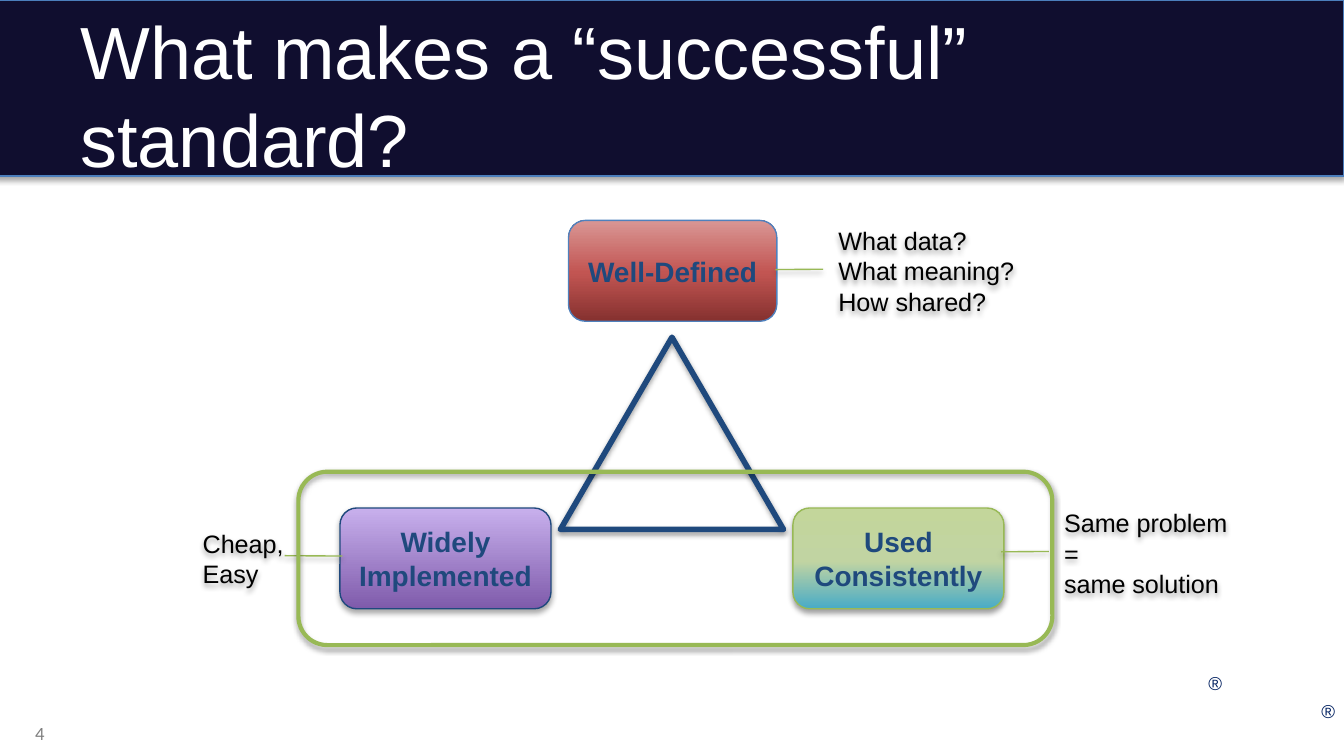
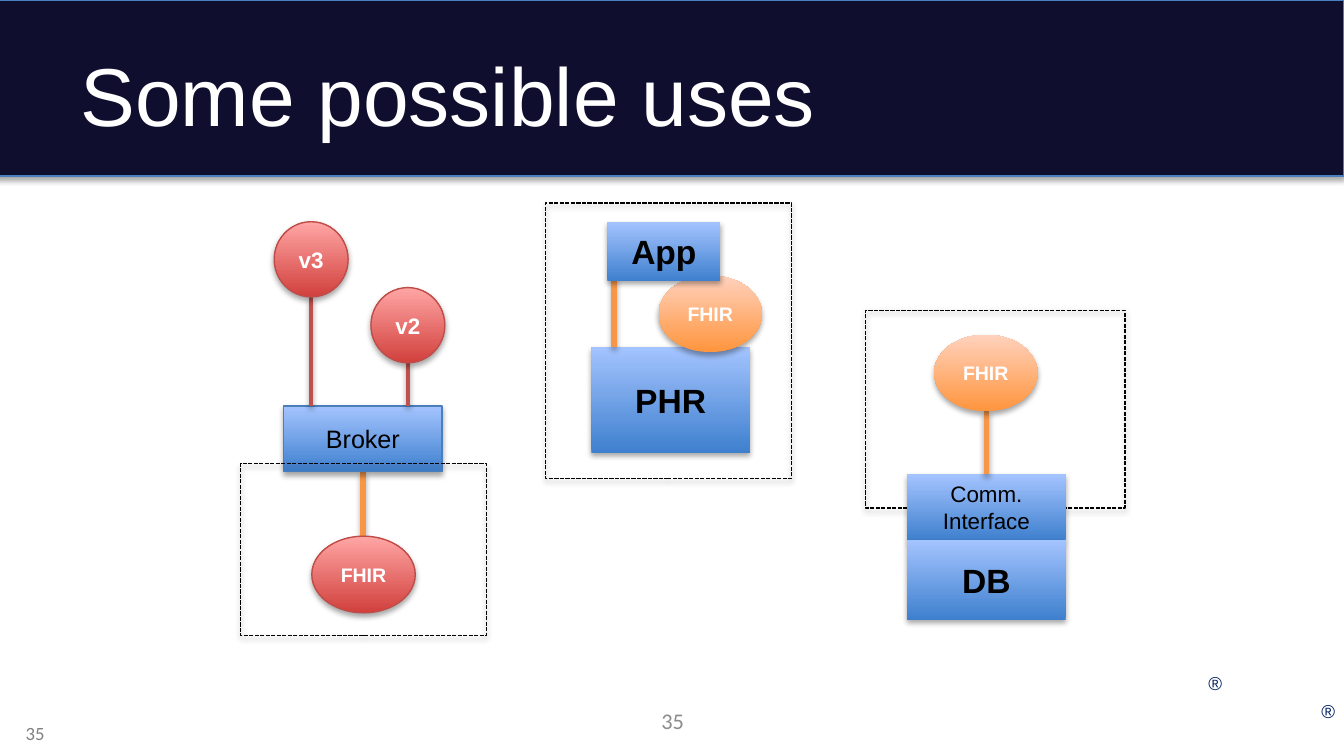
from dataclasses import dataclass
from typing import Optional

from lxml import etree
from pptx import Presentation
from pptx.dml.color import RGBColor
from pptx.enum.dml import MSO_LINE
from pptx.enum.shapes import MSO_CONNECTOR, MSO_SHAPE
from pptx.enum.text import MSO_ANCHOR, MSO_AUTO_SIZE, PP_ALIGN
from pptx.oxml.ns import qn
from pptx.util import Inches, Pt

RECTANGLE = MSO_SHAPE.RECTANGLE
ROUNDED = MSO_SHAPE.ROUNDED_RECTANGLE
ELLIPSE = MSO_SHAPE.OVAL
TRIANGLE = MSO_SHAPE.ISOSCELES_TRIANGLE
CALLOUT = MSO_SHAPE.LINE_CALLOUT_1_NO_BORDER
STRAIGHT = MSO_CONNECTOR.STRAIGHT
DASHED = MSO_LINE.SQUARE_DOT
LEFT, CENTER, RIGHT = PP_ALIGN.LEFT, PP_ALIGN.CENTER, PP_ALIGN.RIGHT
TOP, MIDDLE = MSO_ANCHOR.TOP, MSO_ANCHOR.MIDDLE
FIT_SHAPE = MSO_AUTO_SIZE.SHAPE_TO_FIT_TEXT

SLIDE_WIDTH = 10
SLIDE_HEIGHT = SLIDE_WIDTH * 9 / 16

COLORS = {
    "band": "100E2F",
    "band_line": "4B7EBC",
    "white": "FFFFFF",
    "black": "000000",
    "mark": "002060",
    "number": "808080",
    "center_number": "8C8C8C",
    "navy": "1F497D",
    "blue": "4F81BD",
    "green": "98B955",
    "orange": "F79646",
    "red": "C0504D",
    "red_line": "BF4C48",
}
GRADIENTS = {
    "brick": ((0, "85312F"), (48, "C25552"), (100, "D99694")),
    "purple": ((0, "7F5BAB"), (100, "C8B0ED")),
    "meadow": ((1, "4BACC6"), (47, "C1D4A2"), (100, "C3D69B")),
    "red": ((0, "D1403C"), (100, "FFA6A5")),
    "blue": ((0, "3F80CE"), (100, "A4C4FF")),
    "orange": ((0, "FF953E"), (100, "FFD2BD")),
}


@dataclass(frozen=True)
class Shadow:
    opacity: int
    distance: float
    blur: float = 3.1


SOFT = Shadow(35, 1.8)
STRONG = Shadow(38, 1.6)


@dataclass(frozen=True)
class TextStyle:
    size: float
    color: str = "black"
    bold: bool = False
    font: str = "Arial"
    align: PP_ALIGN = CENTER
    anchor: MSO_ANCHOR = MIDDLE
    inset: tuple[float, float] = (0.1, 0.05)
    wrap: bool = True


@dataclass(frozen=True)
class ShapeStyle:
    gradient: Optional[str] = None
    solid: Optional[str] = None
    line: Optional[str] = None
    width: float = 0.75
    dashed: bool = False
    shadow: Optional[Shadow] = SOFT
    text: Optional[TextStyle] = None


@dataclass(frozen=True)
class Node:
    kind: MSO_SHAPE
    box: tuple[float, float, float, float]
    style: ShapeStyle
    text: str = ""
    adjustments: tuple[float, ...] = ()


@dataclass(frozen=True)
class Link:
    start: tuple[float, float]
    end: tuple[float, float]
    color: str = "orange"
    width: float = 3
    shadow: Shadow = SOFT


def tight(size: float, color: str = "black", bold: bool = True) -> TextStyle:
    return TextStyle(size, color, bold, inset=(0.07, 0.04))


MARK_TEXT = TextStyle(10, "mark", align=LEFT, anchor=TOP, wrap=False)
NUMBER_TEXT = TextStyle(10, "number", font="Calibri", align=RIGHT, anchor=TOP)
CENTER_NUMBER_TEXT = TextStyle(12, "center_number", font="Calibri")
QUALITY_TEXT = TextStyle(15, "navy", True)

BAND = ShapeStyle(solid="band", line="band_line")
WELL_DEFINED = ShapeStyle("brick", line="blue", shadow=None, text=QUALITY_TEXT)
IMPLEMENTED = ShapeStyle("purple", line="navy", text=QUALITY_TEXT)
CONSISTENT = ShapeStyle("meadow", line="green", shadow=STRONG, text=QUALITY_TEXT)
TRIANGLE_OUTLINE = ShapeStyle(line="navy", width=3, shadow=STRONG)
GROUP_OUTLINE = ShapeStyle(line="green", width=2.25, shadow=STRONG)
REMARK = ShapeStyle(line="green", shadow=STRONG, text=TextStyle(13.5, align=LEFT))

SCOPE = ShapeStyle(line="black", dashed=True, shadow=STRONG)
BROKER = ShapeStyle("blue", line="band_line", text=tight(13.5, bold=False))
SYSTEM = ShapeStyle("blue", text=tight(18))
INTERFACE = ShapeStyle("blue", text=tight(12, bold=False))
VERSION = ShapeStyle("red", line="red_line", text=tight(12, "white"))
RED_FHIR = ShapeStyle("red", line="red_line", text=tight(10.5, "white"))
ORANGE_FHIR = ShapeStyle("orange", text=tight(10.5, "white"))

QUALITY_SIZE = (1.57, 0.75)
RIGHT_POINTER = (0.484, -0.01, 0.488, -0.236)
LEFT_POINTER = (0.473, 0.874, 0.477, 1.405)
BLOCK_WIDTH = 1.18
FHIR_SIZE = (0.77, 0.57)
PIN_SIZE = (0.55, 0.56)
BROKER_TOP = 3.02

STANDARD_TRIANGLE = [
    Node(ROUNDED, (4.23, 1.64, 1.55, 0.75), WELL_DEFINED, "Well-Defined"),
    Node(ROUNDED, (2.53, 3.78, *QUALITY_SIZE), IMPLEMENTED, "Widely Implemented"),
    Node(ROUNDED, (5.9, 3.78, *QUALITY_SIZE), CONSISTENT, "Used Consistently"),
    Node(TRIANGLE, (4.17, 2.51, 1.66, 1.43), TRIANGLE_OUTLINE),
    Node(CALLOUT, (6.14, 1.64, *QUALITY_SIZE), REMARK,
         "What data?\nWhat meaning?\nHow shared?", RIGHT_POINTER),
    Node(CALLOUT, (1.41, 3.78, 0.81, 0.75), REMARK, "Cheap,\nEasy", LEFT_POINTER),
    Node(CALLOUT, (7.82, 3.74, *QUALITY_SIZE), REMARK,
         "Same problem =\vsame solution", RIGHT_POINTER),
    Node(ROUNDED, (2.22, 3.51, 5.61, 1.29), GROUP_OUTLINE),
]


def version_pin(label: str, left: float, top: float) -> list[Link | Node]:
    """A version circle joined to the top of the broker."""
    width, height = PIN_SIZE
    center = left + width / 2
    return [
        Link((center, BROKER_TOP), (center, top + height), "red", 2, STRONG),
        Node(ELLIPSE, (left, top, width, height), VERSION, label),
    ]


POSSIBLE_USES = [
    Link((2.7, 3.99), (2.7, 3.51)),
    Node(ELLIPSE, (2.32, 3.99, *FHIR_SIZE), RED_FHIR, "FHIR"),
    Node(RECTANGLE, (2.11, BROKER_TOP, BLOCK_WIDTH, 0.49), BROKER, "Broker"),
    *version_pin("v3", 2.04, 1.65),
    Node(RECTANGLE, (1.79, 3.45, 1.83, 1.28), SCOPE),
    *version_pin("v2", 2.76, 2.14),
    Node(RECTANGLE, (4.4, 2.58, BLOCK_WIDTH, 0.79), SYSTEM, "PHR"),
    Link((4.57, 2.58), (4.57, 2.05)),
    Node(RECTANGLE, (4.06, 1.51, 1.83, 2.05), SCOPE),
    Node(ELLIPSE, (4.9, 2.05, *FHIR_SIZE), ORANGE_FHIR, "FHIR"),
    Node(RECTANGLE, (4.52, 1.65, 0.84, 0.44), SYSTEM, "App"),
    Node(RECTANGLE, (6.44, 2.31, 1.93, 1.47), SCOPE),
    Node(RECTANGLE, (6.75, 3.53, BLOCK_WIDTH, 0.49), INTERFACE, "Comm.\nInterface"),
    Node(RECTANGLE, (6.75, 4.02, BLOCK_WIDTH, 0.59), SYSTEM, "DB"),
    Link((7.34, 3.53), (7.34, 3.06)),
    Node(ELLIPSE, (6.95, 2.49, *FHIR_SIZE), ORANGE_FHIR, "FHIR"),
]


def rgb(name: str) -> RGBColor:
    return RGBColor.from_string(COLORS[name])


def apply_shadow(shape, shadow: Optional[Shadow]) -> None:
    properties = shape.element.spPr
    effects = properties.find(qn("a:effectLst"))
    if effects is None:
        effects = etree.SubElement(properties, qn("a:effectLst"))
    if shadow is None:
        return
    outer = etree.SubElement(
        effects, qn("a:outerShdw"), blurRad=str(Pt(shadow.blur)),
        dist=str(Pt(shadow.distance)), dir="5400000", rotWithShape="0")
    color = etree.SubElement(outer, qn("a:srgbClr"), val=COLORS["black"])
    etree.SubElement(color, qn("a:alpha"), val=str(shadow.opacity * 1000))


def apply_gradient(shape, name: str) -> None:
    """Fill from bottom to top with any number of stops."""
    shape.fill.gradient()
    shape.fill.gradient_angle = 90
    stops = shape.element.spPr.find(qn("a:gradFill")).find(qn("a:gsLst"))
    for stop in list(stops):
        stops.remove(stop)
    for position, color in GRADIENTS[name]:
        stop = etree.SubElement(stops, qn("a:gs"), pos=str(position * 1000))
        etree.SubElement(stop, qn("a:srgbClr"), val=color)


def write_text(shape, text: str, style: TextStyle) -> None:
    frame = shape.text_frame
    horizontal, vertical = (Inches(value) for value in style.inset)
    frame_format = {
        "margin_left": horizontal, "margin_right": horizontal,
        "margin_top": vertical, "margin_bottom": vertical,
        "word_wrap": style.wrap, "vertical_anchor": style.anchor,
    }
    for name, value in frame_format.items():
        setattr(frame, name, value)
    frame.text = text
    font_format = {"name": style.font, "size": Pt(style.size), "bold": style.bold}
    for paragraph in frame.paragraphs:
        paragraph.alignment = style.align
        for run in paragraph.runs:
            for name, value in font_format.items():
                setattr(run.font, name, value)
            run.font.color.rgb = rgb(style.color)


def draw_node(slide, node: Node) -> None:
    style = node.style
    shape = slide.shapes.add_shape(node.kind, *map(Inches, node.box))
    for index, value in enumerate(node.adjustments):
        shape.adjustments[index] = value
    if style.gradient:
        apply_gradient(shape, style.gradient)
    elif style.solid:
        shape.fill.solid()
        shape.fill.fore_color.rgb = rgb(style.solid)
    else:
        shape.fill.background()
    if style.line:
        shape.line.color.rgb = rgb(style.line)
        shape.line.width = Pt(style.width)
        if style.dashed:
            shape.line.dash_style = DASHED
    else:
        shape.line.fill.background()
    shape.shadow.inherit = False
    apply_shadow(shape, style.shadow)
    if node.text and style.text:
        write_text(shape, node.text, style.text)


def draw_link(slide, link: Link) -> None:
    connector = slide.shapes.add_connector(
        STRAIGHT, *map(Inches, (*link.start, *link.end)))
    connector.line.color.rgb = rgb(link.color)
    connector.line.width = Pt(link.width)
    apply_shadow(connector, link.shadow)


def add_text(slide, text: str, box: tuple[float, float, float, float],
             style: TextStyle) -> None:
    text_box = slide.shapes.add_textbox(*map(Inches, box))
    write_text(text_box, text, style)
    if not style.wrap:
        text_box.text_frame.auto_size = FIT_SHAPE


def add_page(presentation, title: str, title_size: float, number: str,
             elements: list[Node | Link]):
    slide = presentation.slides.add_slide(presentation.slide_layouts[6])
    draw_node(slide, Node(RECTANGLE, (-0.04, 0, 10.04, 1.31), BAND))
    for left, top in ((8.91, 4.95), (9.75, 5.16)):
        add_text(slide, "®", (left, top, 0.18, 0.14), MARK_TEXT)
    add_text(slide, number, (0, 5.32, 0.43, 0.3), NUMBER_TEXT)
    add_text(slide, title, (0.5, 0.23, 9, 0.94),
             TextStyle(title_size, "white", align=LEFT))
    for element in elements:
        if isinstance(element, Link):
            draw_link(slide, element)
        else:
            draw_node(slide, element)
    return slide


def main() -> None:
    presentation = Presentation()
    presentation.slide_width = Inches(SLIDE_WIDTH)
    presentation.slide_height = Inches(SLIDE_HEIGHT)
    add_page(presentation, "What makes a “successful” standard?", 39.6, "4",
             STANDARD_TRIANGLE)
    uses = add_page(presentation, "Some possible uses", 44, "35", POSSIBLE_USES)
    add_text(uses, "35", (3.42, 5.21, 3.17, 0.3), CENTER_NUMBER_TEXT)
    presentation.save("out.pptx")


if __name__ == "__main__":
    main()
